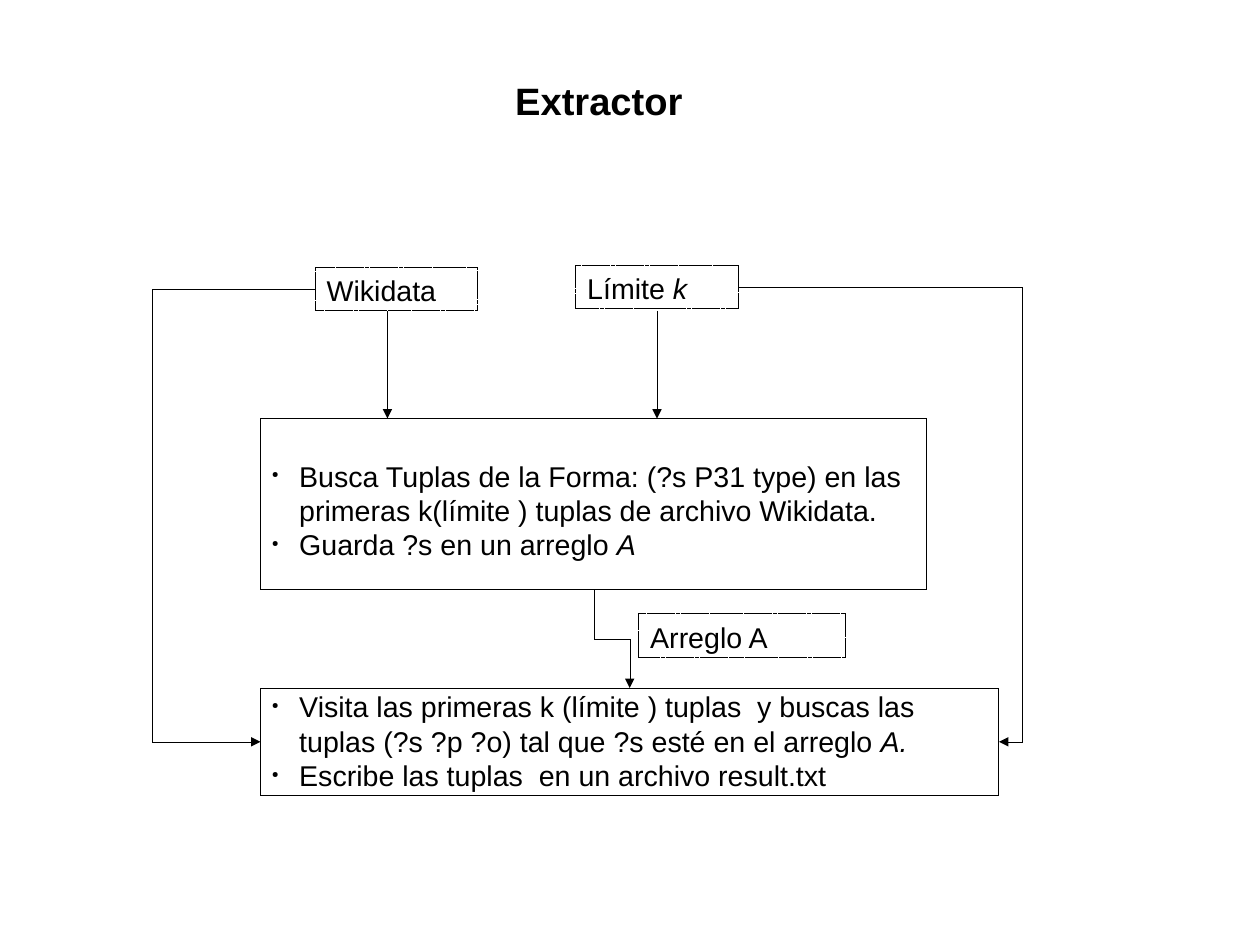
from lxml import etree
from pptx import Presentation
from pptx.dml.color import RGBColor
from pptx.enum import dml, shapes, text
from pptx.oxml import ns
from pptx.util import Cm, Pt

BLACK = RGBColor(0, 0, 0)
FONT = "Arial"
TOP, LEFT, BOTTOM, RIGHT = range(4)  # connection sites of a rectangle


def add_xml(parent, tag, **attrs):
    return etree.SubElement(parent, ns.qn(tag), attrs)


def add_bullet(p):
    pPr = p._p.get_or_add_pPr()
    pPr.set("marL", str(Cm(0.61)))
    pPr.set("indent", str(-Cm(0.61)))
    add_xml(add_xml(pPr, "a:buClr"), "a:srgbClr", val=str(BLACK))
    add_xml(pPr, "a:buSzPct", val="30000")
    add_xml(pPr, "a:buChar", char="●")


def write(sp, paragraphs, size=18, bold=False, bullets=False, top=0.13):
    """Fill a shape with paragraphs, each a list of runs; every second run is italic."""
    tf = sp.text_frame
    tf.word_wrap = True
    tf.vertical_anchor = text.MSO_ANCHOR.TOP
    tf.margin_left = tf.margin_right = Cm(0.25)
    tf.margin_top, tf.margin_bottom = Cm(top), Cm(0)
    for i, runs in enumerate(paragraphs):
        p = tf.add_paragraph() if i else tf.paragraphs[0]
        p.alignment = text.PP_ALIGN.LEFT
        if bullets:
            add_bullet(p)
        p.font.name, p.font.size, p.font.bold = FONT, Pt(size), bold
        p.font.color.rgb = BLACK
        for j, wording in enumerate(runs):
            r = p.add_run()
            r.text = wording
            if j % 2:
                r.font.italic = True


def style_line(line):
    """Make a black hairline; the zero width has to be written out to override the theme."""
    line.color.rgb = BLACK
    line._get_or_add_ln().set("w", "0")


def add_box(s, x, y, w, h):
    sp = s.shapes.add_shape(shapes.MSO_SHAPE.RECTANGLE, Cm(x), Cm(y), Cm(w), Cm(h))
    sp.shadow.inherit = False
    sp.fill.background()
    style_line(sp.line)
    return sp


def add_label(s, x, y, w, runs):
    sp = add_box(s, x, y, w, 0.97)
    sp.line.dash_style = dml.MSO_LINE.SQUARE_DOT
    write(sp, [runs])
    return sp


def add_arrow(s, kind, x1=0, y1=0, x2=0, y2=0):
    c = s.shapes.add_connector(kind, Cm(x1), Cm(y1), Cm(x2), Cm(y2))
    style_line(c.line)
    add_xml(c.line._get_or_add_ln(), "a:tailEnd", type="triangle")
    add_xml(c._element.spPr, "a:effectLst")
    return c


def join(s, start, start_site, end, end_site, bend=0.5):
    """Link two boxes by an elbow arrow that turns at the given share of its width."""
    c = add_arrow(s, shapes.MSO_CONNECTOR.ELBOW)
    c.begin_connect(start, start_site)
    c.end_connect(end, end_site)
    av = c._element.spPr.prstGeom.get_or_add_avLst()
    add_xml(av, "a:gd", name="adj1", fmla=f"val {round(bend * 100000)}")
    return c


def turn_downward(c):
    """Rotate an elbow arrow so that it leaves and arrives vertically."""
    x, y, w, h = c.left, c.top, c.width, c.height
    c.left, c.top = x + (w - h) // 2, y + (h - w) // 2
    c.width, c.height = h, w
    xfrm = c._element.spPr.find(ns.qn("a:xfrm"))
    xfrm.set("rot", "16200000")
    xfrm.set("flipH", "1")


def main():
    prs = Presentation()
    prs.slide_width, prs.slide_height = Cm(28), Cm(21)
    s = prs.slides.add_slide(prs.slide_layouts[6])

    title = s.shapes.add_textbox(Cm(11.2), Cm(1.6), Cm(5.59), Cm(2.39))
    write(title, [["Extractor"]], size=24, bold=True)

    search = add_box(s, 5.79, 9.3, 14.81, 3.81)
    write(search, [
        ["Busca Tuplas de la Forma: (?s P31 type) en las primeras k(límite ) "
         "tuplas de archivo Wikidata."],
        ["Guarda ?s en un arreglo ", "A"],
    ], bullets=True, top=0.89)
    visit = add_box(s, 5.79, 15.29, 16.41, 2.39)
    write(visit, [
        ["Visita las primeras k (límite ) tuplas  y buscas las tuplas (?s ?p ?o) "
         "tal que ?s esté en el arreglo ", "A."],
        ["Escribe las tuplas  en un archivo result.txt"],
    ], bullets=True, top=0.03)

    wikidata = add_label(s, 7.01, 5.94, 3.61, ["Wikidata"])
    limit = add_label(s, 12.8, 5.89, 3.61, ["Límite ", "k"])
    add_label(s, 14.2, 13.64, 4.6, ["Arreglo A"])

    for x in (8.61, 14.6):
        add_arrow(s, shapes.MSO_CONNECTOR.STRAIGHT, x, 6.91, x, 9.3)
    join(s, wikidata, LEFT, visit, LEFT, bend=2.97)
    join(s, limit, RIGHT, visit, RIGHT, bend=1.09)
    turn_downward(join(s, search, BOTTOM, visit, TOP))

    prs.save("out.pptx")


if __name__ == "__main__":
    main()
